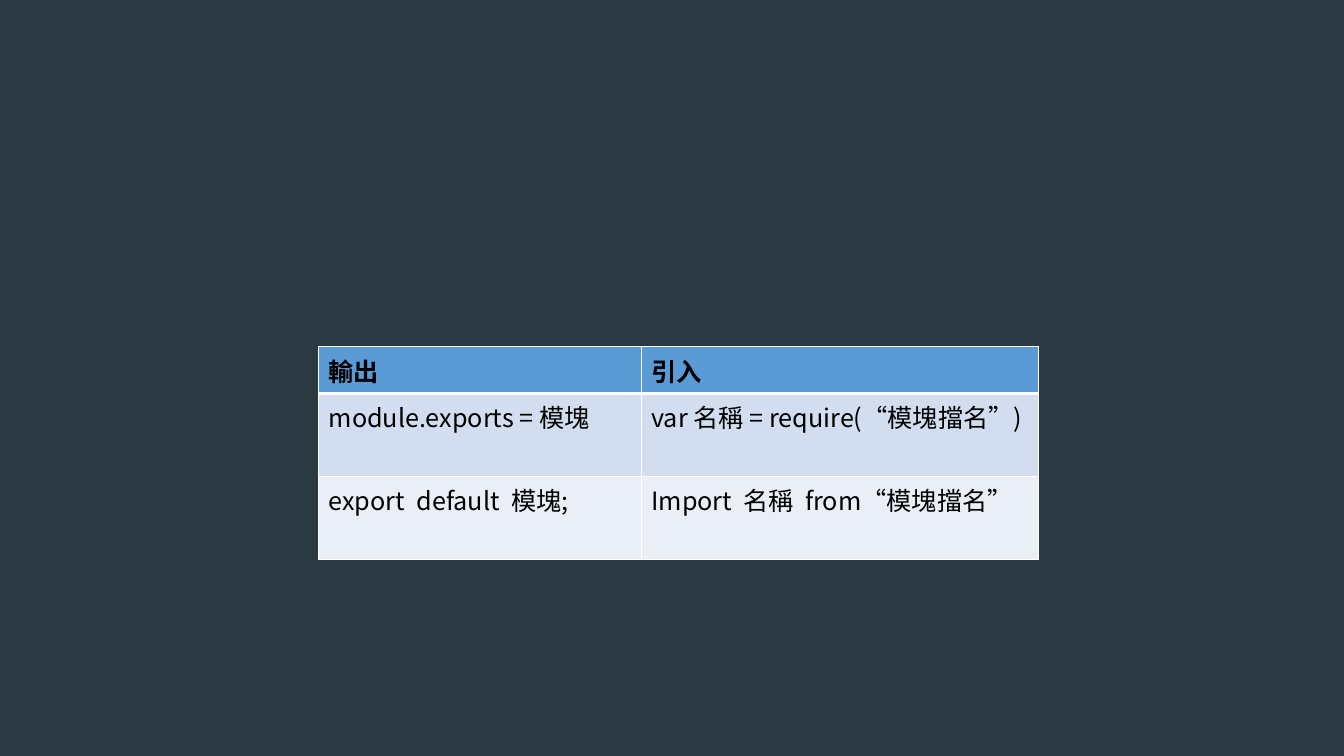
"""Build a slide with a table of module export and import statements."""
from lxml import etree
from pptx import Presentation
from pptx.dml.color import RGBColor
from pptx.oxml.ns import qn
from pptx.util import Inches, Pt

COLORS = {"bg": "2B3942", "text": "000000", "border": "FFFFFF"}
ROW_FILLS = ["5B9BD5", "D2DEEF", "EAEFF7"]
FONT = "Noto Sans CJK SC"
ROWS = [
    ["輸出", "引入"],
    ["module.exports = 模塊", "var 名稱 = require(“模塊擋名”)"],
    ["export  default  模塊;", "Import  名稱  from“模塊擋名”"],
]
COL_WIDTHS = [3.2, 3.94]
ROW_HEIGHT = 0.41


def add_border(cell, side, width):
    """Add a solid border to one side of a cell."""
    ln = etree.SubElement(cell._tc.get_or_add_tcPr(), qn(f"a:ln{side}"), w=str(Pt(width)))
    fill = etree.SubElement(ln, qn("a:solidFill"))
    etree.SubElement(fill, qn("a:srgbClr"), val=COLORS["border"])


prs = Presentation()
prs.slide_width, prs.slide_height = Inches(13.33), Inches(7.5)
s = prs.slides.add_slide(prs.slide_layouts[6])
s.background.fill.solid()
s.background.fill.fore_color.rgb = RGBColor.from_string(COLORS["bg"])

table = s.shapes.add_table(
    len(ROWS), len(COL_WIDTHS), Inches(3.16), Inches(3.44),
    Inches(sum(COL_WIDTHS)), Inches(ROW_HEIGHT * len(ROWS)),
).table
for col, width in zip(table.columns, COL_WIDTHS):
    col.width = Inches(width)

for i, texts in enumerate(ROWS):
    table.rows[i].height = Inches(ROW_HEIGHT)
    for j, text in enumerate(texts):
        cell = table.cell(i, j)
        for side in "LRTB":
            header_edge = (i, side) in [(0, "B"), (1, "T")]
            add_border(cell, side, 3 if header_edge else 1)
        cell.fill.solid()
        cell.fill.fore_color.rgb = RGBColor.from_string(ROW_FILLS[i])
        p = cell.text_frame.paragraphs[0]
        r = p.add_run()
        r.text = text
        r.font.name = FONT
        r.font.size = Pt(18)
        r.font.bold = i == 0
        r.font.color.rgb = RGBColor.from_string(COLORS["text"])
        etree.SubElement(r._r.get_or_add_rPr(), qn("a:ea"), typeface=FONT)

prs.save("out.pptx")
